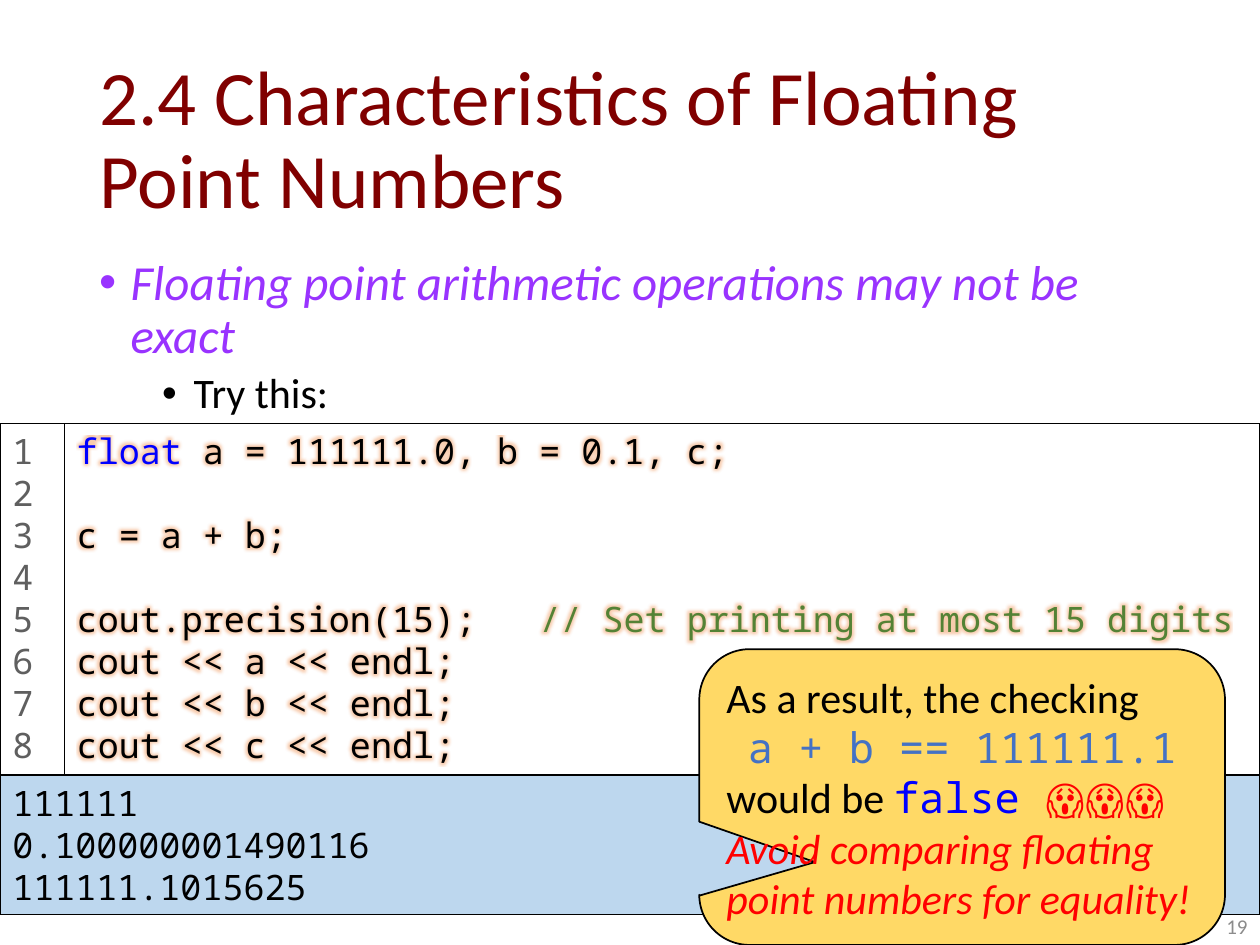
from lxml.etree import SubElement
from pptx import Presentation
from pptx.dml.color import RGBColor
from pptx.enum.shapes import MSO_SHAPE
from pptx.enum.text import MSO_ANCHOR, MSO_AUTO_SIZE, PP_ALIGN
from pptx.oxml import parse_xml
from pptx.oxml.ns import nsdecls, qn
from pptx.util import Pt

COLORS = {
    "title": "800000", "point": "9933FF", "text": "000000", "page": "8C8C8C",
    "keyword": "0000FF", "comment": "548235", "line_number": "5F5F5F",
    "expression": "4472C4", "warning": "FF0000", "output": "BDD7EE",
    "callout": "FFD966", "glow": "ED7D31",
}
SANS, MONO = "Calibri", "Noto Sans Mono"

STYLES = {
    "title": {"name": SANS, "size": Pt(44), "color": "title"},
    "point": {"name": SANS, "size": Pt(28), "color": "point", "italic": True},
    "subpoint": {"name": SANS, "size": Pt(24), "color": "text"},
    "page": {"name": SANS, "size": Pt(12), "color": "page"},
    "code": {"name": MONO, "size": Pt(20), "color": "text"},
    "keyword": {"name": MONO, "size": Pt(20), "color": "keyword"},
    "comment": {"name": MONO, "size": Pt(20), "color": "comment"},
    "line_number": {"name": MONO, "size": Pt(20), "color": "line_number"},
    "remark": {"name": SANS, "size": Pt(24), "color": "text"},
    "expression": {"name": MONO, "size": Pt(24), "color": "expression"},
    "false": {"name": MONO, "size": Pt(24), "color": "keyword"},
    "shock": {"name": SANS, "size": Pt(24), "color": "warning", "bold": True},
    "advice": {"name": SANS, "size": Pt(24), "color": "warning", "italic": True},
}

TITLE = [[("2.4 Characteristics of Floating Point Numbers", "title")]]
POINTS = [
    [("Floating point arithmetic operations may not be exact", "point")],
    [("Try this:", "subpoint")],
]
CODE = [
    [("float", "keyword"), (" a = 111111.0, b = 0.1, c;", "code")],
    [],
    [("c = a + b;", "code")],
    [],
    [("cout.precision(15);   ", "code"), ("// Set printing at most 15 digits", "comment")],
    [("cout << a << endl;", "code")],
    [("cout << b << endl;", "code")],
    [("cout << c << endl;", "code")],
]
LINE_NUMBERS = [[(str(number), "line_number")] for number in range(1, len(CODE) + 1)]
OUTPUT = [[(line, "code")] for line in ("111111", "0.100000001490116", "111111.1015625")]
REMARK = [
    [("As a result, the checking", "remark")],
    [("a + b == 111111.1", "expression")],
    [("would be ", "remark"), ("false ", "false"), ("😱😱😱", "shock")],
    [("Avoid comparing floating point numbers for equality!", "advice")],
]
PAGE = [[("19", "page")]]

SLIDE_W, SLIDE_H = 720, 540
GUTTER_W = 36.8
CODE_TOP, CODE_H, OUTPUT_H = 242, 200.8, 79.8


def rgb(color):
    return RGBColor.from_string(COLORS[color])


def place(shape, left, top, width, height):
    for side, value in zip(("left", "top", "width", "height"), (left, top, width, height)):
        setattr(shape, side, Pt(value))


def write(shape, lines, anchor=MSO_ANCHOR.TOP):
    frame = shape.text_frame
    for key, value in {"word_wrap": True, "auto_size": MSO_AUTO_SIZE.NONE,
                       "vertical_anchor": anchor}.items():
        setattr(frame, key, value)
    for index, line in enumerate(lines):
        paragraph = frame.add_paragraph() if index else frame.paragraphs[0]
        paragraph.alignment = PP_ALIGN.LEFT
        for text, style in line:
            run = paragraph.add_run()
            run.text = text
            for key, value in STYLES[style].items():
                if key == "color":
                    run.font.color.rgb = rgb(value)
                else:
                    setattr(run.font, key, value)
        if not line:
            end = SubElement(paragraph._p, qn("a:endParaRPr"), sz="2000")
            SubElement(end, qn("a:latin"), typeface=MONO)
    return frame.paragraphs


def add_panel(slide, kind, box, line_width, fill=None):
    panel = slide.shapes.add_shape(kind, *map(Pt, box))
    panel.shadow.inherit = False
    if fill:
        panel.fill.solid()
        panel.fill.fore_color.rgb = rgb(fill)
    else:
        panel.fill.background()
    panel.line.color.rgb = rgb("text")
    panel.line.width = Pt(line_width)
    return panel


def add_glow(paragraphs):
    for paragraph in paragraphs:
        for run in paragraph.runs:
            fill = run.font._element.find(qn("a:solidFill"))
            fill.addnext(parse_xml(
                f'<a:effectLst {nsdecls("a")}><a:glow rad="63500">'
                f'<a:srgbClr val="{COLORS["glow"]}"><a:alpha val="40000"/></a:srgbClr>'
                '</a:glow></a:effectLst>'))


def main():
    deck = Presentation()
    deck.slide_width, deck.slide_height = Pt(SLIDE_W), Pt(SLIDE_H)
    slide = deck.slides.add_slide(deck.slide_layouts[1])

    title, body = slide.shapes.title, slide.placeholders[1]
    place(title, 49.5, 28.75, 621, 104.4)
    write(title, TITLE, MSO_ANCHOR.MIDDLE)[0].line_spacing = 0.9

    place(body, 49.5, 143.75, 621, 342.6)
    for level, (paragraph, indent, space) in enumerate(
            zip(write(body, POINTS), (18, 54), (0, 5))):
        properties = paragraph._p.get_or_add_pPr()
        properties.set("marL", str(Pt(indent)))
        properties.set("indent", str(Pt(-18)))
        for key, value in {"level": level, "line_spacing": 0.9,
                           "space_before": Pt(space)}.items():
            setattr(paragraph, key, value)
        SubElement(properties, qn("a:buFont"), typeface="Arial")
        SubElement(properties, qn("a:buChar"), char="•")

    page = slide.shapes.add_textbox(Pt(558), Pt(511.2), Pt(162), Pt(28.8))
    write(page, PAGE, MSO_ANCHOR.BOTTOM)[0].alignment = PP_ALIGN.RIGHT

    code = add_panel(slide, MSO_SHAPE.RECTANGLE,
                     (GUTTER_W, CODE_TOP, SLIDE_W - GUTTER_W, CODE_H), 0.75)
    add_glow(write(code, CODE))
    gutter = add_panel(slide, MSO_SHAPE.RECTANGLE, (0, CODE_TOP, GUTTER_W, CODE_H), 0.75)
    write(gutter, LINE_NUMBERS)
    output = add_panel(slide, MSO_SHAPE.RECTANGLE,
                       (0, CODE_TOP + CODE_H, SLIDE_W, OUTPUT_H), 0.75, "output")
    write(output, OUTPUT)

    callout = add_panel(slide, MSO_SHAPE.ROUNDED_RECTANGULAR_CALLOUT,
                        (399.6, 371, 300.4, 169), 1, "callout")
    for index, value in enumerate((-0.28, 0.22, 0.17)):
        callout.adjustments[index] = value
    write(callout, REMARK, MSO_ANCHOR.MIDDLE)[1].alignment = PP_ALIGN.CENTER

    deck.save("out.pptx")


if __name__ == "__main__":
    main()
